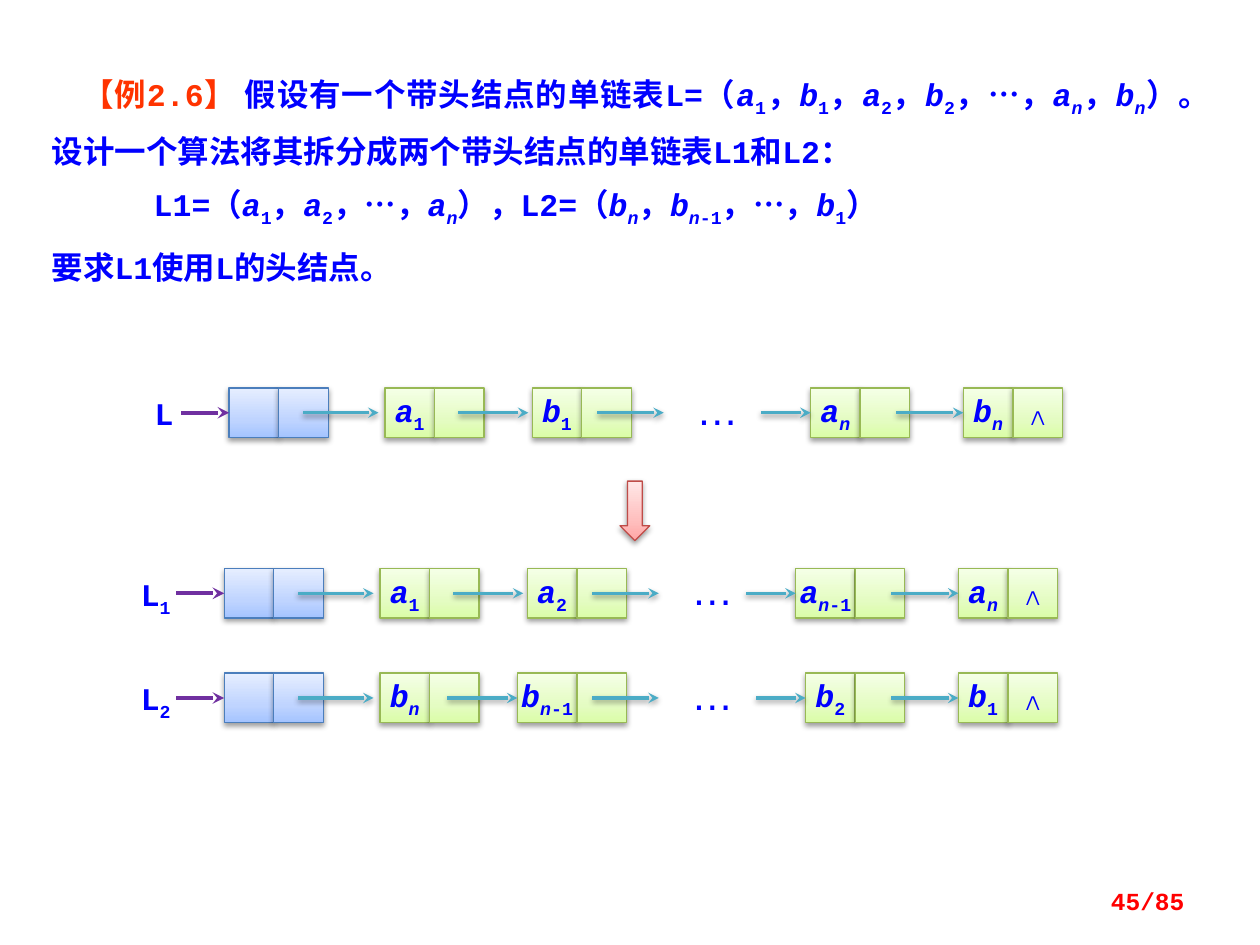
from lxml import etree
from pptx import Presentation, util as u
from pptx.dml.color import RGBColor
from pptx.enum import shapes, text
from pptx.oxml import parse_xml
from pptx.oxml.ns import nsdecls, qn

# ---- Content: parts between bars are terms such as a1 or bn-1 ----
PROBLEM = [  # (first line indent in cm, text)
    (0.62, "|【例2.6】 |假设有一个带头结点的单链表L=（|a1|，|b1|，|a2|，|b2|，|…|，|an|，|bn|）。"
           "设计一个算法将其拆分成两个带头结点的单链表L1和L2："),
    (2.06, "L1=（|a1|，|a2|，|…|，|an|），L2=（|bn|，|bn-1|，|…|，|b1|）"),
    (0, "要求L1使用L的头结点。"),
]
LISTS = [  # (list name, head left, top, label left, node terms), cm
    ("L", 4.62, 7.82, 2.87, ["a1", "b1", "an", "bn"]),
    ("L1", 4.52, 11.46, 2.59, ["a1", "a2", "an-1", "an"]),
    ("L2", 4.52, 13.57, 2.59, ["bn", "bn-1", "b2", "b1"]),
]
PAGE = "45/85"

# ---- Theme ----
THEME = {
    "code": "Courier New", "dots": "Arial",
    "body": 18, "ellipsis": 24, "page": 14,
    "ink": "0000FF", "example": "FF3300", "number": "FF0000",
    "entry": ("7030A0", 2.25), "link": ("4BACC6", 2),
    "head": ("A4C4FF", "BFD4FF", "E6EEFF", "4B7EBC"),
    "node": ("DAFDA7", "E4FCC2", "F5FFE7", "98B955"),
    "step": ("FFA6A5", "FFC0BF", "FFE7E7", "BF4C48"),
}

# ---- Geometry in cm; node places are measured from the head's left ----
CELL, WIDE_CELL = 1, 1.2
POINTER_FIELDS = [4.14, 7.11, 12.72, 15.8]
LINK_LENGTHS = [1.52, 1.41, 1, 1.35]
LINK_GAPS = [0.13, 0.08, 0, 0]
ELLIPSIS_LINK = (7.42, 8.76)
ELLIPSIS_LEFT = 9.17

SHADOW = (f'<a:effectLst {nsdecls("a")}><a:outerShdw blurRad="40000" dist="20000" dir="5400000" '
          'rotWithShape="0"><a:srgbClr val="000000"><a:alpha val="38000"/></a:srgbClr>'
          '</a:outerShdw></a:effectLst>')

prs = Presentation()
prs.slide_width, prs.slide_height = u.Cm(25.4), u.Cm(19.05)
slide = prs.slides.add_slide(prs.slide_layouts[6])


def add_run(paragraph, words, size=THEME["body"], color=THEME["ink"], font=THEME["code"],
            bold=True, italic=False, sub=False):
    run = paragraph.add_run()
    run.text = words
    run.font.size, run.font.name = u.Pt(size), font
    run.font.bold, run.font.italic = bold, italic
    run.font.color.rgb = RGBColor.from_string(color)
    if sub:
        run.font._element.set("baseline", "-25000")


def add_term(paragraph, term):
    """A letter with its index; variables are italic, digits and list names upright."""
    letter, index = term[0], term[1:]
    add_run(paragraph, letter, italic=letter.islower())
    if index.startswith("n"):
        add_run(paragraph, "n", italic=True, sub=True)
        index = index[1:]
    if index:
        add_run(paragraph, index, sub=True)


def add_marked(paragraph, marked):
    for position, part in enumerate(marked.split("|")):
        if not part:
            continue
        if position % 2 == 0:
            add_run(paragraph, part)
        elif part.startswith("【"):
            add_run(paragraph, part, color=THEME["example"])
        elif part == "…":
            add_run(paragraph, part, font=THEME["dots"])
        else:
            add_term(paragraph, part)


def text_box(left, top, width, height):
    frame = slide.shapes.add_textbox(*map(u.Cm, (left, top, width, height))).text_frame
    frame.word_wrap = True
    return frame


def block(kind, left, top, width, height, palette):
    *stops, edge = THEME[palette]
    shape = slide.shapes.add_shape(kind, *map(u.Cm, (left, top, width, height)))
    shape.line.color.rgb = RGBColor.from_string(edge)
    shape.line.width = u.Pt(0.75)
    gradient = "".join(f'<a:gs pos="{pos}"><a:srgbClr val="{color}"/></a:gs>'
                       for pos, color in zip((0, 35000, 100000), stops))
    properties = shape._element.spPr
    properties.find(qn("a:prstGeom")).addnext(parse_xml(
        f'<a:gradFill {nsdecls("a")} rotWithShape="1"><a:gsLst>{gradient}</a:gsLst>'
        '<a:lin ang="16200000" scaled="0"/></a:gradFill>'))
    properties.append(parse_xml(SHADOW))
    return shape


def cell(left, top, width, palette, term=""):
    field = block(shapes.MSO_SHAPE.RECTANGLE, left, top, width, CELL, palette)
    if term:
        frame = field.text_frame
        frame.word_wrap = False
        frame.vertical_anchor = text.MSO_ANCHOR.MIDDLE
        frame.paragraphs[0].alignment = text.PP_ALIGN.CENTER
        (add_run if term == "∧" else add_term)(frame.paragraphs[0], term)
    return field


def arrow(start, end, y, style, target=None):
    color, weight = THEME[style]
    link = slide.shapes.add_connector(shapes.MSO_CONNECTOR.STRAIGHT, u.Cm(start), u.Cm(y),
                                      u.Cm(end), u.Cm(y))
    if target is not None:
        link.end_connect(target, 1)
    link.line.color.rgb = RGBColor.from_string(color)
    link.line.width = u.Pt(weight)
    etree.SubElement(link.line._get_or_add_ln(), qn("a:tailEnd"), type="stealth")
    effects = SHADOW if style == "link" else f'<a:effectLst {nsdecls("a")}/>'
    link._element.spPr.append(parse_xml(effects))


def linked_list(name, left, top, label_left, terms):
    middle = top + CELL / 2
    add_term(text_box(label_left, top, 1.55, 1.02).paragraphs[0], name)

    # Head node and entry pointer
    head = cell(left, top, CELL, "head")
    cell(left + CELL, top, CELL, "head")
    arrow(left - 0.97, left, middle, "entry", head)

    # Data nodes, then the links that lead to them
    links = []
    for i, (term, offset) in enumerate(zip(terms, POINTER_FIELDS)):
        width = WIDE_CELL if "-" in term else CELL
        data_left = left + offset - width
        data = cell(data_left, top, width, "node", term)
        cell(left + offset, top, CELL, "node", "∧" if i == len(terms) - 1 else "")
        gap = 0 if "-" in term else LINK_GAPS[i]
        end = data_left - gap
        links.append((end - LINK_LENGTHS[i], end, middle, "link", None if gap else data))
    links.append((*(left + x for x in ELLIPSIS_LINK), middle, "link"))
    for link in links:
        arrow(*link)

    dots = text_box(left + ELLIPSIS_LEFT, top - 0.22, 2, 1.27)
    add_run(dots.paragraphs[0], "…", THEME["ellipsis"], font=THEME["dots"], bold=False)


# ---- Problem statement ----
statement = text_box(0.79, 1.19, 23.22, 4.7)
for number, (indent, marked) in enumerate(PROBLEM):
    paragraph = statement.add_paragraph() if number else statement.paragraphs[0]
    paragraph.alignment = text.PP_ALIGN.JUSTIFY
    paragraph.line_spacing = u.Pt(30)
    if number:
        paragraph.space_before = u.Pt(3)
    paragraph._p.get_or_add_pPr().set("indent", str(u.Cm(indent)))
    add_marked(paragraph, marked)

# ---- Lists before and after the split ----
for row in LISTS:
    linked_list(*row)
block(shapes.MSO_SHAPE.DOWN_ARROW, 12.5, 9.7, 0.6, 1.2, "step")

# ---- Page number ----
page = text_box(18.21, 17.65, 5.92, 1.02)
page.vertical_anchor = text.MSO_ANCHOR.MIDDLE
page.paragraphs[0].alignment = text.PP_ALIGN.RIGHT
add_run(page.paragraphs[0], PAGE, THEME["page"], THEME["number"])

prs.save("out.pptx")
